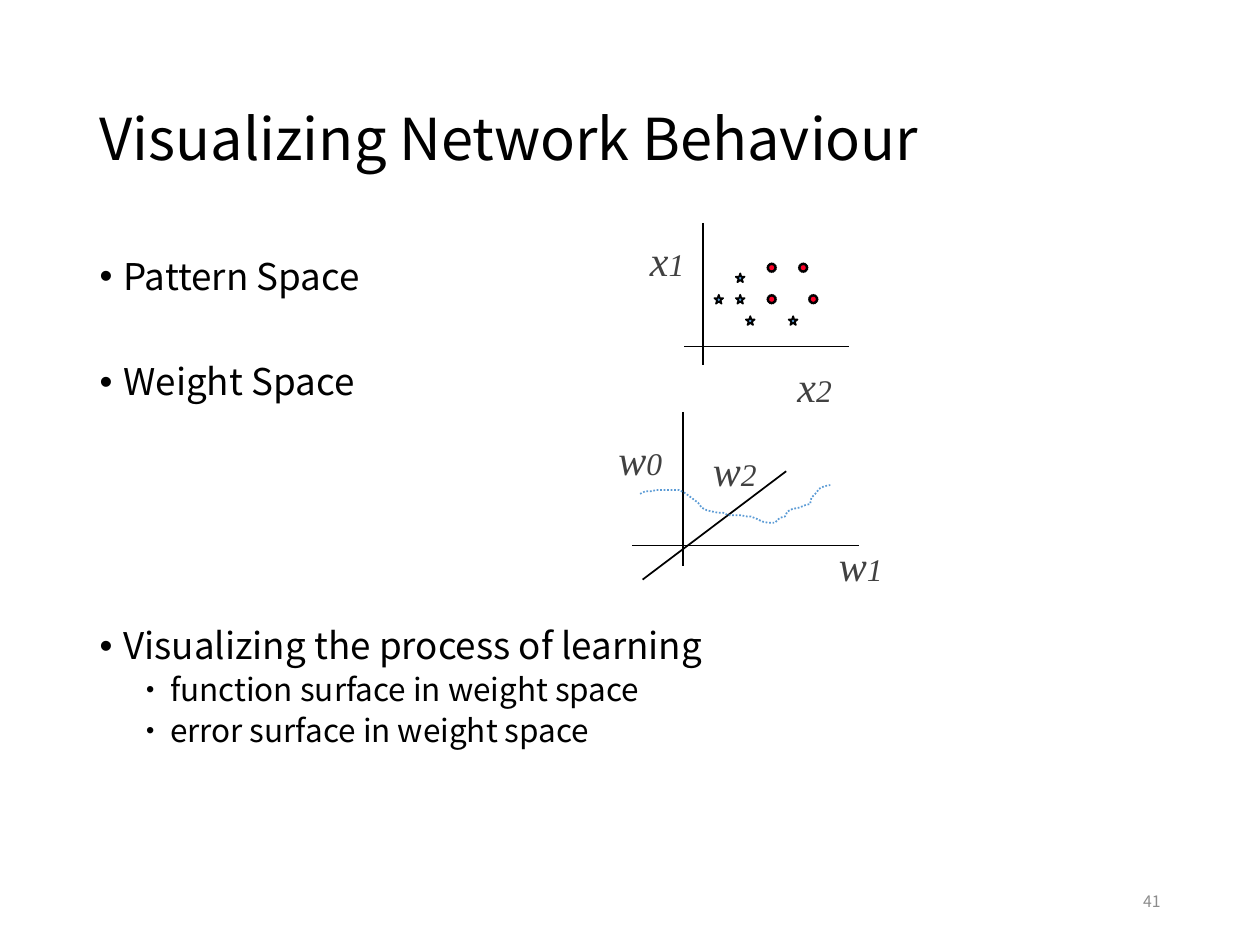
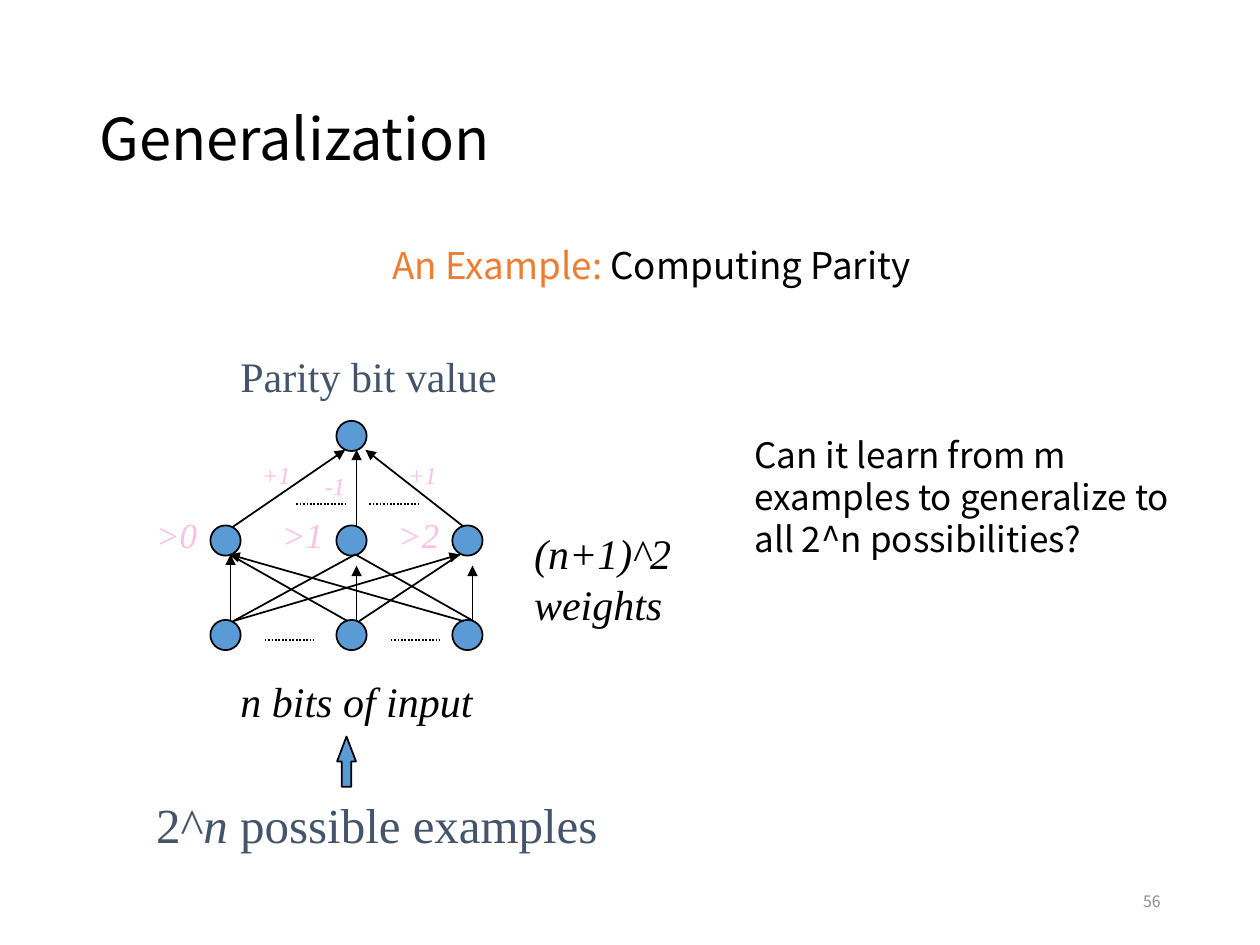
from dataclasses import dataclass
from typing import Optional

from lxml.etree import SubElement
from pptx import Presentation
from pptx.dml.color import RGBColor
from pptx.enum.dml import MSO_LINE
from pptx.enum.shapes import MSO_CONNECTOR, MSO_SHAPE as Preset
from pptx.enum.text import MSO_ANCHOR as Anchor, MSO_AUTO_SIZE as AutoSize, PP_ALIGN as Align
from pptx.oxml.ns import qn
from pptx.util import Inches, Pt

COLORS = {
    "black": "000000",
    "blue": "5B9BD5",
    "red": "FC0128",
    "orange": "ED7D31",
    "slate": "44546A",
    "pink": "FDC0E5",
    "axis": "414141",
    "number": "8C8C8C",
}
SANS = "Noto Sans CJK KR"
SERIF = "Times New Roman"
TITLE_BOX = (0.69, 0.4, 8.62, 1.45)
NUMBER_BOX = (7.06, 6.95, 2.25, 0.4)
BODY_GAP = 7.5
EMPTY_LINE = 30.2


@dataclass(frozen=True)
class Run:
    text: str
    size: float
    color: str = "black"
    font: str = SERIF
    italic: bool = False


@dataclass(frozen=True)
class Item:
    runs: tuple[Run, ...]
    before: float = BODY_GAP
    level: int = 0
    margin: float = 0.19
    bullet: Optional[str] = "•"
    bullet_percent: int = 100
    align: Align = Align.LEFT


@dataclass(frozen=True)
class Label:
    box: tuple[float, float, float, float]
    lines: tuple[tuple[Run, ...], ...]
    wrap: bool = False
    anchor: Anchor = Anchor.TOP
    align: Align = Align.LEFT


@dataclass(frozen=True)
class Line:
    start: tuple[float, float]
    end: tuple[float, float]
    arrow: bool = False
    dotted: bool = False


@dataclass(frozen=True)
class Marker:
    preset: Preset
    size: float
    color: str
    adjustment: Optional[float] = None


STAR = Marker(Preset.STAR_5_POINT, 0.07, "blue")
BURST = Marker(Preset.STAR_16_POINT, 0.07, "red", 0.375)
UNIT = Marker(Preset.OVAL, 0.24, "blue")


def rgb(name: str) -> RGBColor:
    return RGBColor.from_string(COLORS[name])


def inches(*values: float) -> list:
    return [Inches(value) for value in values]


def apply(target, values: dict) -> None:
    for name, value in values.items():
        setattr(target, name, value)


def write_runs(paragraph, runs: tuple[Run, ...]) -> None:
    for run in runs:
        part = paragraph.add_run()
        part.text = run.text
        apply(part.font, {"name": run.font, "size": Pt(run.size), "italic": run.italic})
        part.font.color.rgb = rgb(run.color)


def place(shape, box: tuple) -> None:
    apply(shape, dict(zip(("left", "top", "width", "height"), inches(*box))))


def style_line(line, color: str = "black", dotted: bool = False) -> None:
    line.color.rgb = rgb(color)
    line.width = Pt(1)
    if dotted:
        line.dash_style = MSO_LINE.ROUND_DOT


def add_label(slide, label: Label) -> None:
    shape = slide.shapes.add_textbox(*inches(*label.box))
    frame = shape.text_frame
    apply(frame, {"word_wrap": label.wrap, "vertical_anchor": label.anchor,
                  "auto_size": AutoSize.NONE if label.anchor == Anchor.MIDDLE
                  else AutoSize.SHAPE_TO_FIT_TEXT})
    for index, runs in enumerate(label.lines):
        paragraph = frame.add_paragraph() if index else frame.paragraphs[0]
        paragraph.alignment = label.align
        write_runs(paragraph, runs)


def add_line(slide, line: Line) -> None:
    connector = slide.shapes.add_connector(MSO_CONNECTOR.STRAIGHT, *inches(*line.start, *line.end))
    style_line(connector.line, dotted=line.dotted)
    properties = connector.element.spPr
    if line.arrow:
        SubElement(properties.find(qn("a:ln")), qn("a:tailEnd"), type="triangle")
    SubElement(properties, qn("a:effectLst"))


def add_preset(slide, preset: Preset, box: tuple, color: str):
    shape = slide.shapes.add_shape(preset, *inches(*box))
    shape.shadow.inherit = False
    shape.fill.solid()
    shape.fill.fore_color.rgb = rgb(color)
    style_line(shape.line)
    return shape


def add_marker(slide, marker: Marker, left: float, top: float) -> None:
    shape = add_preset(slide, marker.preset, (left, top, marker.size, marker.size), marker.color)
    if marker.adjustment is not None:
        shape.adjustments[0] = marker.adjustment


def add_curve(slide, points: list[tuple[float, float]]) -> None:
    start, *rest = [tuple(inches(*point)) for point in points]
    builder = slide.shapes.build_freeform(*start)
    builder.add_line_segments(rest, close=False)
    curve = builder.convert_to_shape()
    curve.shadow.inherit = False
    curve.fill.background()
    style_line(curve.line, "blue", dotted=True)


def fill_body(body, box: tuple, items: list[Item]) -> None:
    place(body, box)
    frame = body.text_frame
    apply(frame, {"auto_size": AutoSize.NONE, "vertical_anchor": Anchor.TOP})
    for index, item in enumerate(items):
        paragraph = frame.add_paragraph() if index else frame.paragraphs[0]
        apply(paragraph, {"level": item.level, "alignment": item.align, "line_spacing": 0.9,
                          "space_before": Pt(item.before), "space_after": Pt(0)})
        write_runs(paragraph, item.runs)
        properties = paragraph._p.get_or_add_pPr()
        properties.set("marL", str(Inches(item.margin)))
        properties.set("indent", str(Inches(-0.19)))
        if item.bullet:
            SubElement(properties, qn("a:buSzPct"), val=str(item.bullet_percent * 1000))
            SubElement(properties, qn("a:buChar"), char=item.bullet)
        else:
            SubElement(properties, qn("a:buNone"))


def start_slide(presentation, title: str, number: int, body_box: tuple, items: list[Item]):
    slide = presentation.slides.add_slide(presentation.slide_layouts[1])
    heading = slide.shapes.title
    place(heading, TITLE_BOX)
    apply(heading.text_frame, {"vertical_anchor": Anchor.MIDDLE, "auto_size": AutoSize.NONE})
    paragraph = heading.text_frame.paragraphs[0]
    apply(paragraph, {"alignment": Align.LEFT, "line_spacing": 0.9})
    write_runs(paragraph, (Run(title, 33, font=SANS),))
    fill_body(slide.placeholders[1], body_box, items)
    add_label(slide, Label(NUMBER_BOX, ((Run(str(number), 9, "number", SANS),),),
                           True, Anchor.MIDDLE, Align.RIGHT))
    return slide


def topic(text: str, empty_lines: int = 0) -> Item:
    return Item((Run(text, 21, font=SANS),), BODY_GAP + empty_lines * EMPTY_LINE)


def subtopic(text: str) -> Item:
    return Item((Run(text, 18, font=SANS),), 3.8, 1, 0.56, bullet_percent=75)


def build_behaviour(presentation) -> None:
    slide = start_slide(presentation, "Visualizing Network Behaviour", 41, (0.69, 2, 8.62, 4.76), [
        topic("Pattern Space"),
        topic("Weight Space", 1),
        topic("Visualizing the process of learning", 4),
        subtopic("function surface in weight space"),
        subtopic("error surface in weight space"),
    ])
    pattern_axes = [Line((5.58, 1.77), (5.58, 2.9)), Line((5.43, 2.75), (6.74, 2.75))]
    weight_axes = [Line((5.42, 3.27), (5.42, 4.49)), Line((5.1, 4.6), (6.24, 3.74)),
                   Line((5.02, 4.33), (6.82, 4.33))]
    for axis in pattern_axes + weight_axes:
        add_line(slide, axis)

    patterns = {
        BURST: [(6.09, 2.09), (6.34, 2.09), (6.42, 2.34), (6.09, 2.34)],
        STAR: [(5.84, 2.17), (5.84, 2.34), (5.67, 2.34), (5.92, 2.51), (6.26, 2.51)],
    }
    for marker, positions in patterns.items():
        for left, top in positions:
            add_marker(slide, marker, left, top)

    axis_names = [("x", "1", 5.06, 1.81), ("x", "2", 6.23, 2.81), ("w", "0", 4.81, 3.39),
                  ("w", "2", 5.56, 3.48), ("w", "1", 6.56, 4.23)]
    for letter, index, left, top in axis_names:
        width = 0.48 if letter == "x" else 0.56
        runs = (Run(letter, 24, "axis", italic=True), Run(index, 18, "axis", italic=True))
        add_label(slide, Label((left, top, width, 0.51), (runs,)))

    add_curve(slide, [
        (5.08, 3.92), (5.12, 3.9), (5.16, 3.9), (5.21, 3.89), (5.39, 3.89), (5.43, 3.91),
        (5.46, 3.93), (5.5, 3.96), (5.54, 3.99), (5.57, 4.03), (5.61, 4.05), (5.65, 4.06),
        (5.7, 4.07), (5.74, 4.07), (5.78, 4.09), (5.88, 4.09), (5.93, 4.1), (5.96, 4.1),
        (6.01, 4.12), (6.05, 4.14), (6.1, 4.15), (6.15, 4.15), (6.19, 4.11), (6.23, 4.1),
        (6.25, 4.06), (6.29, 4.04), (6.34, 4.03), (6.39, 4.01), (6.43, 4), (6.44, 3.95),
        (6.48, 3.91), (6.5, 3.88), (6.54, 3.86), (6.59, 3.85),
    ])


def build_generalization(presentation) -> None:
    example = Item((Run("An Example: ", 21, "orange", SANS), Run("Computing Parity", 21, font=SANS)),
                   bullet=None, align=Align.CENTER)
    slide = start_slide(presentation, "Generalization", 56, (0.92, 1.92, 8.5, 4.5), [example])

    columns = (1.67, 2.67, 3.59)
    output_top, hidden_top, input_top = 3.34, 4.17, 4.92
    add_marker(slide, UNIT, columns[1], output_top)
    for top in (hidden_top, input_top):
        for left in columns:
            add_marker(slide, UNIT, left, top)

    output_y, hidden_foot, hidden_y, input_y = 3.57, 4.18, 4.4, 4.93
    for start, end in ((1.85, 2.74), (2.83, 2.83), (3.68, 2.9)):
        add_line(slide, Line((start, hidden_foot), (end, output_y), arrow=True))
    for start, end, arrow in ((1.83, 1.83, True), (1.85, 2.82, False), (1.85, 3.65, True),
                              (2.85, 3.65, False), (2.76, 1.82, False),
                              (3.76, 2.82, False), (3.68, 1.82, True)):
        add_line(slide, Line((start, input_y), (end, hidden_y), arrow))
    for center in (2.83, 3.75):
        add_line(slide, Line((center, input_y), (center, 4.49), arrow=True))
    for left, top in ((2.1, 5.08), (3.1, 5.08), (2.35, 4), (2.93, 4)):
        add_line(slide, Line((left, top), (left + 0.39, top), dotted=True))

    for threshold, left in enumerate(columns):
        add_label(slide, Label((left - 0.53, 4.03, 0.54, 0.44),
                               ((Run(f">{threshold}", 20, "pink", italic=True),),)))
    for weight, left, top, width in (("+1", 1.98, 3.6, 0.44), ("-1", 2.48, 3.69, 0.37),
                                     ("+1", 3.14, 3.6, 0.44)):
        add_label(slide, Label((left, top, width, 0.34), ((Run(weight, 14, "pink", italic=True),),)))

    captions = [
        Label((1.81, 2.73, 2.24, 0.51), ((Run("Parity bit value", 24, "slate"),),)),
        Label((4.14, 4.14, 1.38, 0.91), ((Run("(n+1)^2", 24, italic=True),),
                                         (Run("weights", 24, italic=True),))),
        Label((1.81, 5.31, 2.05, 0.51), ((Run("n bits of input", 24, italic=True),),)),
        Label((1.14, 6.26, 3.72, 0.58), ((Run("2^", 28, "slate"), Run("n ", 28, "slate", italic=True),
                                          Run("possible examples", 28, "slate")),)),
        Label((5.89, 3.39, 3.66, 1.11), ((Run(
            "Can it learn from m examples to generalize to all 2^n possibilities?",
            20, font=SANS),),), wrap=True),
    ]
    for caption in captions:
        add_label(slide, caption)

    input_arrow = add_preset(slide, Preset.RIGHT_ARROW, (2.55, 5.97, 0.4, 0.15), "blue")
    input_arrow.rotation = 270
    input_arrow.adjustments[1] = 1.32


def main() -> None:
    presentation = Presentation()
    apply(presentation, {"slide_width": Inches(10), "slide_height": Inches(7.5)})
    build_behaviour(presentation)
    build_generalization(presentation)
    presentation.save("out.pptx")


if __name__ == "__main__":
    main()
